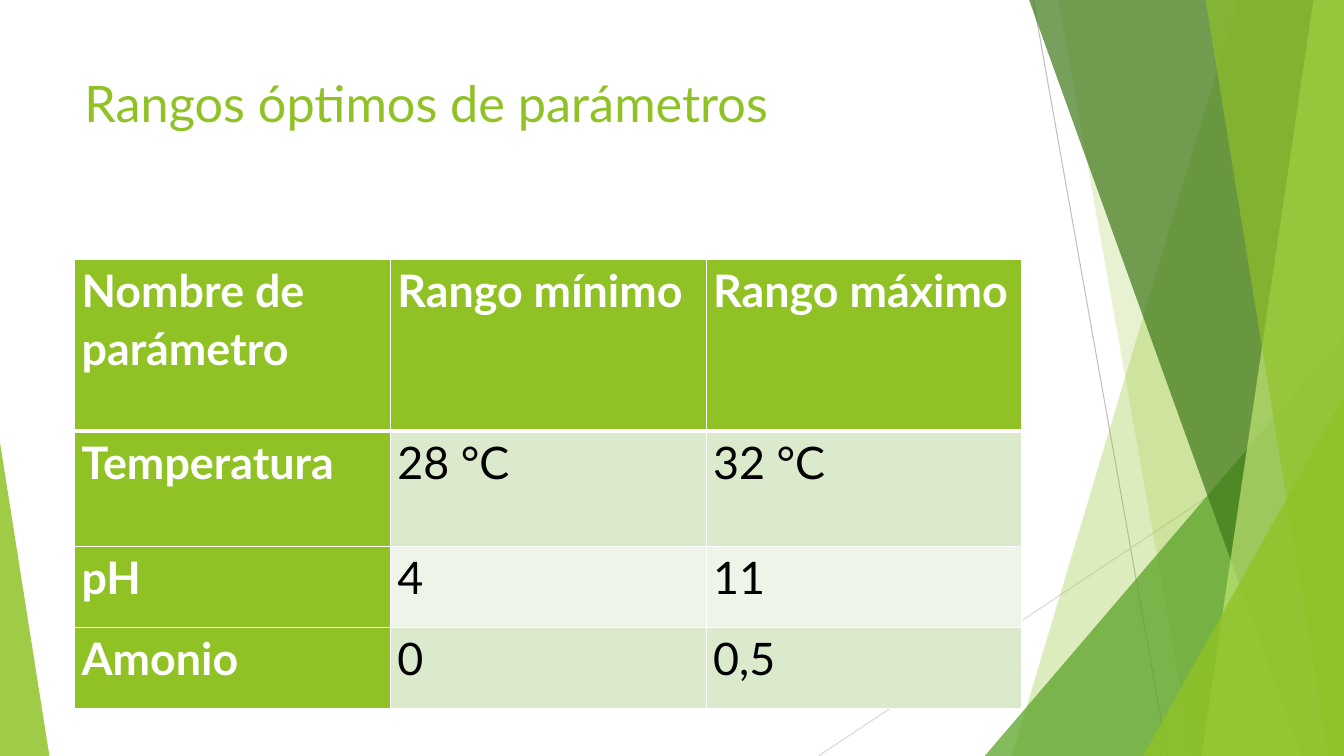
from lxml.etree import SubElement
from pptx import Presentation
from pptx.dml.color import RGBColor
from pptx.enum.shapes import MSO_CONNECTOR, MSO_SHAPE
from pptx.enum.text import MSO_ANCHOR
from pptx.oxml.ns import qn
from pptx.util import Pt

TITLE = "Rangos óptimos de parámetros"
ROWS = [
    ("Nombre de parámetro", "Rango mínimo", "Rango máximo"),
    ("Temperatura", "28 °C", "32 °C"),
    ("pH", "4", "11"),
    ("Amonio", "0", "0,5"),
]
ROW_HEIGHTS = (122.4, 82.8, 57.6, 57.6)
WIDTH, HEIGHT = 960, 540
LEFT, CONTENT_WIDTH = 53.3, 676.8
TITLE_TOP, TITLE_HEIGHT = 48, 104
TABLE_TOP = 185.4

THEME = {
    "font": "Lato",
    "title_size": 36,
    "table_size": 32,
    "accent": "90C226",
    "green": "54A021",
    "dark": "3F7819",
    "pale": "C0E474",
    "white": "FFFFFF",
    "black": "000000",
    "stripes": ("EEF4E8", "DBE9CD"),
    "steep_line": "BFBFBF",
    "flat_line": "D9D9D9",
}

LINES = [
    ((738, 0), (834, 540), "steep_line"),
    ((960, 290), (584.7, 540), "flat_line"),
]
FACETS = [
    ("band", (884.2, 722.9), "accent", 30),
    ("band", (756, 851.8), "accent", 20),
    ("triangle", (703.4, 240, 256.6, 1), "green", 72),
    ("band", (735.1, 929.5), "dark", 70),
    ("band", (938.2, 858.2), "pale", 70),
    ("band", (861.1, 949), "accent", 65),
    ("triangle", (816.5, 283, 143.5, 1), "accent", 80),
    ("triangle", (0, 316.1, 35.3, 0), "accent", 85),
]


def color(name):
    return RGBColor.from_string(THEME.get(name, name))


def write(frame, text, size, ink, bold=False, spacing=1.0):
    frame.word_wrap = True
    para = frame.paragraphs[0]
    para.line_spacing = spacing
    span = para.add_run()
    span.text = text
    span.font.name = THEME["font"]
    span.font.size = Pt(THEME[size])
    span.font.bold = bold
    span.font.color.rgb = color(ink)


def draw_line(page, start, end, ink):
    line = page.shapes.add_connector(
        MSO_CONNECTOR.STRAIGHT, *(Pt(value) for value in start + end))
    line.line.color.rgb = color(ink)
    line.line.width = Pt(0.75)
    SubElement(line._element.spPr, qn("a:effectLst"))


def draw_facet(page, kind, geometry, ink, opacity):
    if kind == "band":
        top_x, bottom_x = geometry
        builder = page.shapes.build_freeform(Pt(top_x), 0)
        corners = [(WIDTH, 0), (WIDTH, HEIGHT), (bottom_x, HEIGHT)]
        builder.add_line_segments([(Pt(x), Pt(y)) for x, y in corners])
        facet = builder.convert_to_shape()
    else:
        left, top, width, apex = geometry
        facet = page.shapes.add_shape(
            MSO_SHAPE.ISOSCELES_TRIANGLE, Pt(left), Pt(top), Pt(width), Pt(HEIGHT - top))
        facet.adjustments[0] = apex
    facet.shadow.inherit = False
    facet.line.fill.background()
    facet.fill.solid()
    facet.fill.fore_color.rgb = color(ink)
    tint = facet._element.spPr.find(qn("a:solidFill"))[0]
    SubElement(tint, qn("a:alpha"), val=str(opacity * 1000))


def add_border(cell, side, width):
    properties = cell._tc.get_or_add_tcPr()
    border = SubElement(properties, qn(f"a:ln{side}"), w=str(Pt(width)))
    fill = SubElement(border, qn("a:solidFill"))
    SubElement(fill, qn("a:srgbClr"), val=THEME["white"])


def draw_table(page):
    columns = len(ROWS[0])
    table = page.shapes.add_table(
        len(ROWS), columns, Pt(LEFT), Pt(TABLE_TOP),
        Pt(CONTENT_WIDTH), Pt(sum(ROW_HEIGHTS))).table
    for column in table.columns:
        column.width = Pt(CONTENT_WIDTH / columns)
    for row, height in enumerate(ROW_HEIGHTS):
        table.rows[row].height = Pt(height)
        for column, text in enumerate(ROWS[row]):
            cell = table.cell(row, column)
            heading = row == 0 or column == 0
            cell.margin_left = cell.margin_right = Pt(5)
            cell.margin_top = cell.margin_bottom = 0
            for side in "LRTB":
                thick = (row, side) in ((0, "B"), (1, "T"))
                add_border(cell, side, 3 if thick else 1)
            cell.fill.solid()
            cell.fill.fore_color.rgb = color("accent" if heading else THEME["stripes"][row % 2])
            write(cell.text_frame, text, "table_size",
                  "white" if heading else "black", bold=heading, spacing=1.07)


def main():
    deck = Presentation()
    deck.slide_width, deck.slide_height = Pt(WIDTH), Pt(HEIGHT)
    page = deck.slides.add_slide(deck.slide_layouts[6])
    for line in LINES:
        draw_line(page, *line)
    for facet in FACETS:
        draw_facet(page, *facet)
    box = page.shapes.add_textbox(
        Pt(LEFT), Pt(TITLE_TOP), Pt(CONTENT_WIDTH), Pt(TITLE_HEIGHT))
    box.text_frame.vertical_anchor = MSO_ANCHOR.TOP
    write(box.text_frame, TITLE, "title_size", "accent")
    draw_table(page)
    deck.save("out.pptx")


if __name__ == "__main__":
    main()
